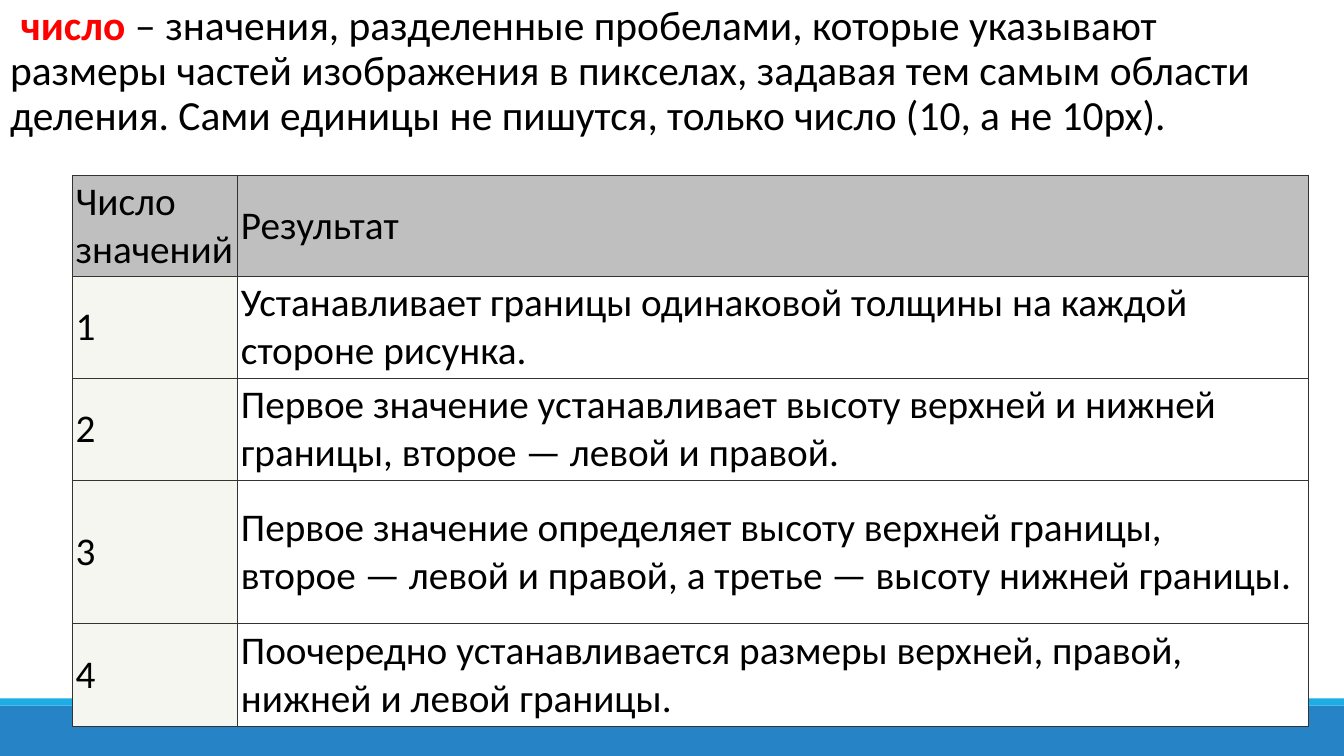
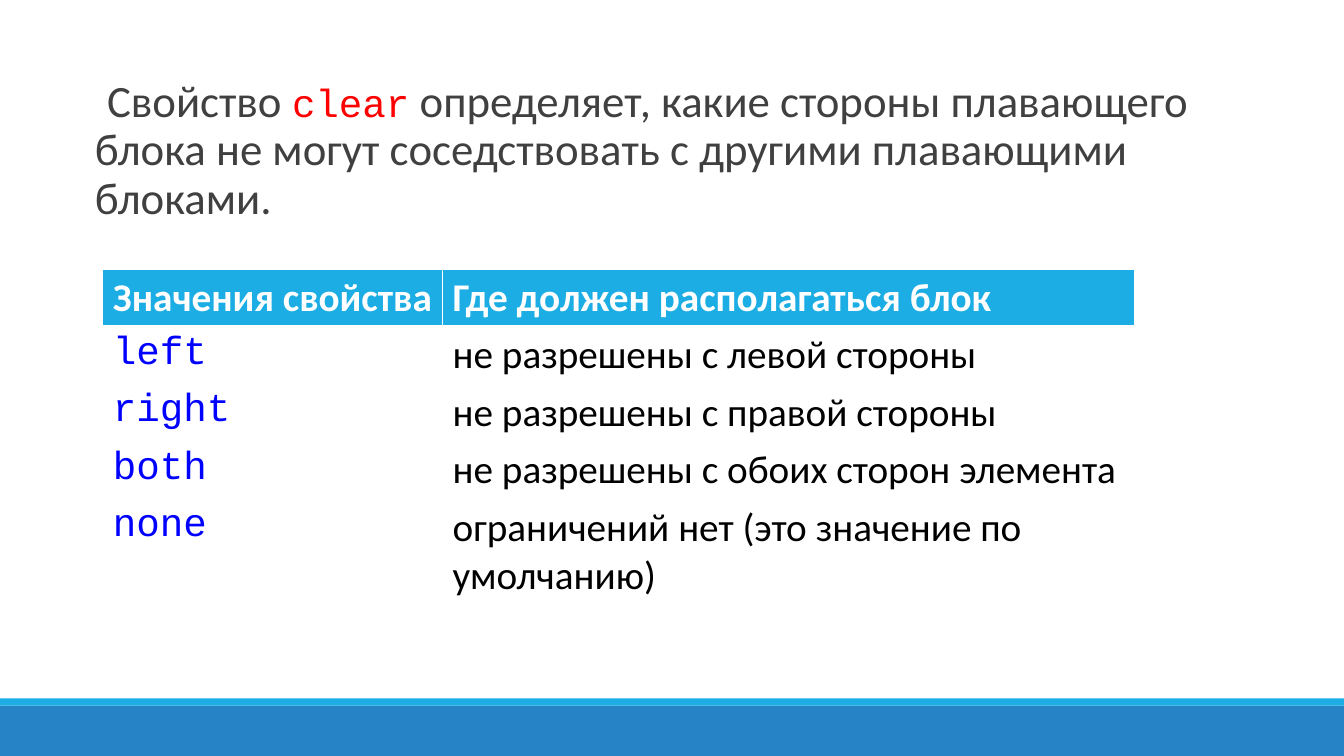
"""Build two slides about image border values and the clear property."""
from lxml.etree import SubElement
from pptx import Presentation
from pptx.dml.color import RGBColor
from pptx.enum.shapes import MSO_SHAPE
from pptx.enum.text import MSO_ANCHOR
from pptx.oxml.ns import qn
from pptx.util import Inches, Pt

BLACK = RGBColor(0x00, 0x00, 0x00)
WHITE = RGBColor(0xFF, 0xFF, 0xFF)
RED = RGBColor(0xFF, 0x00, 0x00)
CODE_BLUE = RGBColor(0x00, 0x00, 0xFF)
DARK_GREY = RGBColor(0x40, 0x40, 0x40)
BORDER_GREY = RGBColor(0x33, 0x33, 0x33)
HEADER_GREY = RGBColor(0xBF, 0xBF, 0xBF)
PALE = RGBColor(0xF6, 0xF6, 0xF0)
BAND_BLUE = RGBColor(0x26, 0x83, 0xC6)
ACCENT = RGBColor(0x1C, 0xAD, 0xE4)

SANS = "Calibri"
MONO = "Courier New"
NO_BREAK_SPACE = chr(160)
BANDS = [(7, 0.5, BAND_BLUE), (6.93, 0.07, ACCENT)]

BORDER_ROWS = [
    ("Число значений", "Результат"),
    ("1", "Устанавливает границы одинаковой толщины на каждой стороне рисунка."),
    ("2", "Первое значение устанавливает высоту верхней и нижней границы, "
          "второе — левой и правой."),
    ("3", "Первое значение определяет высоту верхней границы, "
          "второе — левой и правой, а третье — высоту нижней границы."),
    ("4", "Поочередно устанавливается размеры верхней, правой, "
          "нижней и левой границы."),
]
CLEAR_ROWS = [
    ("Значения свойства", "Где должен располагаться блок"),
    ("left", "не разрешены с левой стороны"),
    ("right", "не разрешены с правой стороны"),
    ("both", "не разрешены с обоих сторон элемента"),
    ("none", "ограничений нет (это значение по умолчанию)"),
]


def add_page(deck):
    """Add a blank page with the two bottom bands."""
    page = deck.slides.add_slide(deck.slide_layouts[6])
    for top, height, color in BANDS:
        band = page.shapes.add_shape(MSO_SHAPE.RECTANGLE, 0, Inches(top),
                                     deck.slide_width, Inches(height))
        band.shadow.inherit = False
        band.fill.solid()
        band.fill.fore_color.rgb = color
        band.line.fill.background()
    return page


def add_span(para, text, size, color, font=SANS, bold=False):
    """Append one styled run, keeping each dash with the word before it."""
    span = para.add_run()
    span.text = text.replace(" —", NO_BREAK_SPACE + "—")
    span.font.size = Pt(size)
    span.font.name = font
    span.font.bold = bold
    span.font.color.rgb = color


def add_intro(page, left, top, width, height, spans):
    """Add the introductory paragraph with a hanging blank bullet."""
    box = page.shapes.add_textbox(Inches(left), Inches(top),
                                  Inches(width), Inches(height))
    frame = box.text_frame
    frame.word_wrap = True
    frame.margin_left = frame.margin_right = 0
    para = frame.paragraphs[0]
    properties = para._p.get_or_add_pPr()
    properties.set("marL", str(Inches(0.1)))
    properties.set("indent", str(-Inches(0.1)))
    SubElement(properties, qn("a:buChar"), char=" ")
    para.line_spacing = 0.9
    for span in spans:
        add_span(para, *span)


def set_borders(cell, color, width, bottom):
    """Draw the four borders of a cell."""
    properties = cell._tc.get_or_add_tcPr()
    for side in "LRTB":
        points = bottom if side == "B" else width
        line = SubElement(properties, qn(f"a:ln{side}"), w=str(Pt(points)))
        fill = SubElement(line, qn("a:solidFill"))
        SubElement(fill, qn("a:srgbClr"), val=str(color))


def add_grid(page, left, top, widths, heights, rows, style_cell):
    """Add a table and pass each cell to the styling function."""
    table = page.shapes.add_table(
        len(rows), len(widths), Inches(left), Inches(top),
        Inches(sum(widths)), Inches(sum(heights))).table
    table.horz_banding = False
    for column, width in zip(table.columns, widths):
        column.width = Inches(width)
    for row, height in zip(table.rows, heights):
        row.height = Inches(height)
    for row_index, texts in enumerate(rows):
        for column_index, text in enumerate(texts):
            cell = table.cell(row_index, column_index)
            style_cell(cell, text, row_index == 0, column_index == 0)


def style_border_cell(cell, text, is_header, is_first):
    """Style a cell of the border values table."""
    set_borders(cell, BORDER_GREY, 0.75, 0.75)
    cell.fill.solid()
    cell.fill.fore_color.rgb = HEADER_GREY if is_header else PALE if is_first else WHITE
    cell.vertical_anchor = MSO_ANCHOR.MIDDLE
    cell.margin_left = cell.margin_right = Inches(0.03)
    cell.margin_top = cell.margin_bottom = Inches(0.03)
    add_span(cell.text_frame.paragraphs[0], text, 28, BLACK)


def style_clear_cell(cell, text, is_header, is_first):
    """Style a cell of the clear property table."""
    set_borders(cell, WHITE, 1, 3 if is_header else 1)
    para = cell.text_frame.paragraphs[0]
    if is_header:
        cell.fill.solid()
        cell.fill.fore_color.rgb = ACCENT
        add_span(para, text, 28, WHITE, bold=True)
    else:
        cell.fill.background()
        color, font = (CODE_BLUE, MONO) if is_first else (BLACK, SANS)
        add_span(para, text, 28, color, font)


def add_border_page(deck):
    """Add the page on the number of border values."""
    page = add_page(deck)
    add_intro(page, 0, 0, 13, 1.7, [
        ("число", 29.6, RED, SANS, True),
        (" ‒ значения, разделенные пробелами, которые указывают размеры частей "
         "изображения в пикселах, задавая тем самым области деления. "
         "Сами единицы не пишутся, только число (10, а не 10px).", 29.6, BLACK),
    ])
    add_grid(page, 0.72, 1.74, [1.64, 10.62], [1, 1.01, 1.02, 1.42, 1.02],
             BORDER_ROWS, style_border_cell)


def add_clear_page(deck):
    """Add the page on the clear property."""
    page = add_page(deck)
    add_intro(page, 0.84, 0.73, 11, 1.6, [
        ("Свойство ", 32, DARK_GREY),
        ("clear", 28, RED, MONO),
        (" определяет, какие стороны плавающего блока не могут соседствовать "
         "с другими плавающими блоками.", 32, DARK_GREY),
    ])
    add_grid(page, 1.02, 2.67, [3.37, 6.86], [0.57] * 4 + [1.04],
             CLEAR_ROWS, style_clear_cell)


def main():
    """Build and save the deck."""
    deck = Presentation()
    deck.slide_width, deck.slide_height = Inches(13.33), Inches(7.5)
    add_border_page(deck)
    add_clear_page(deck)
    deck.save("out.pptx")


if __name__ == "__main__":
    main()
